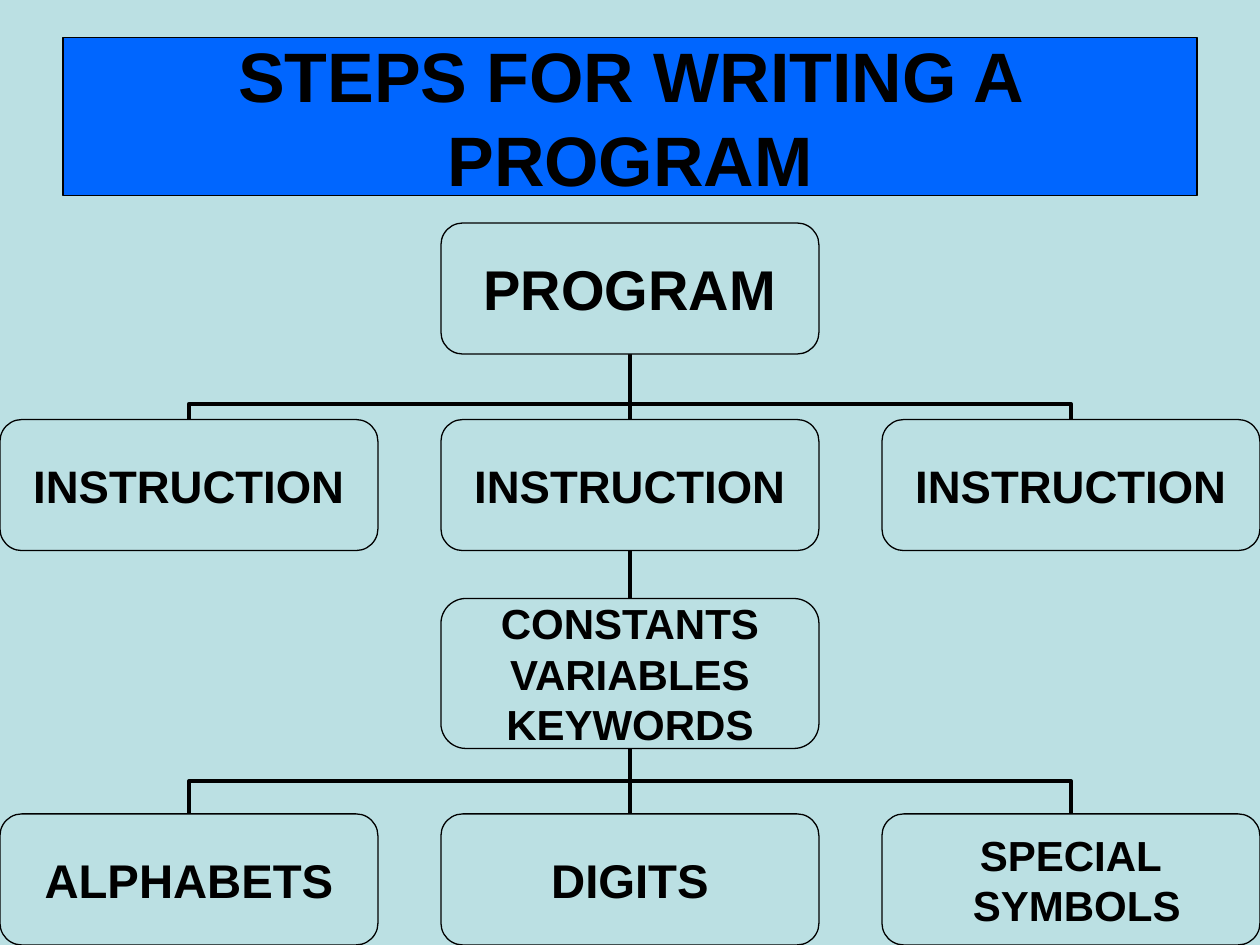
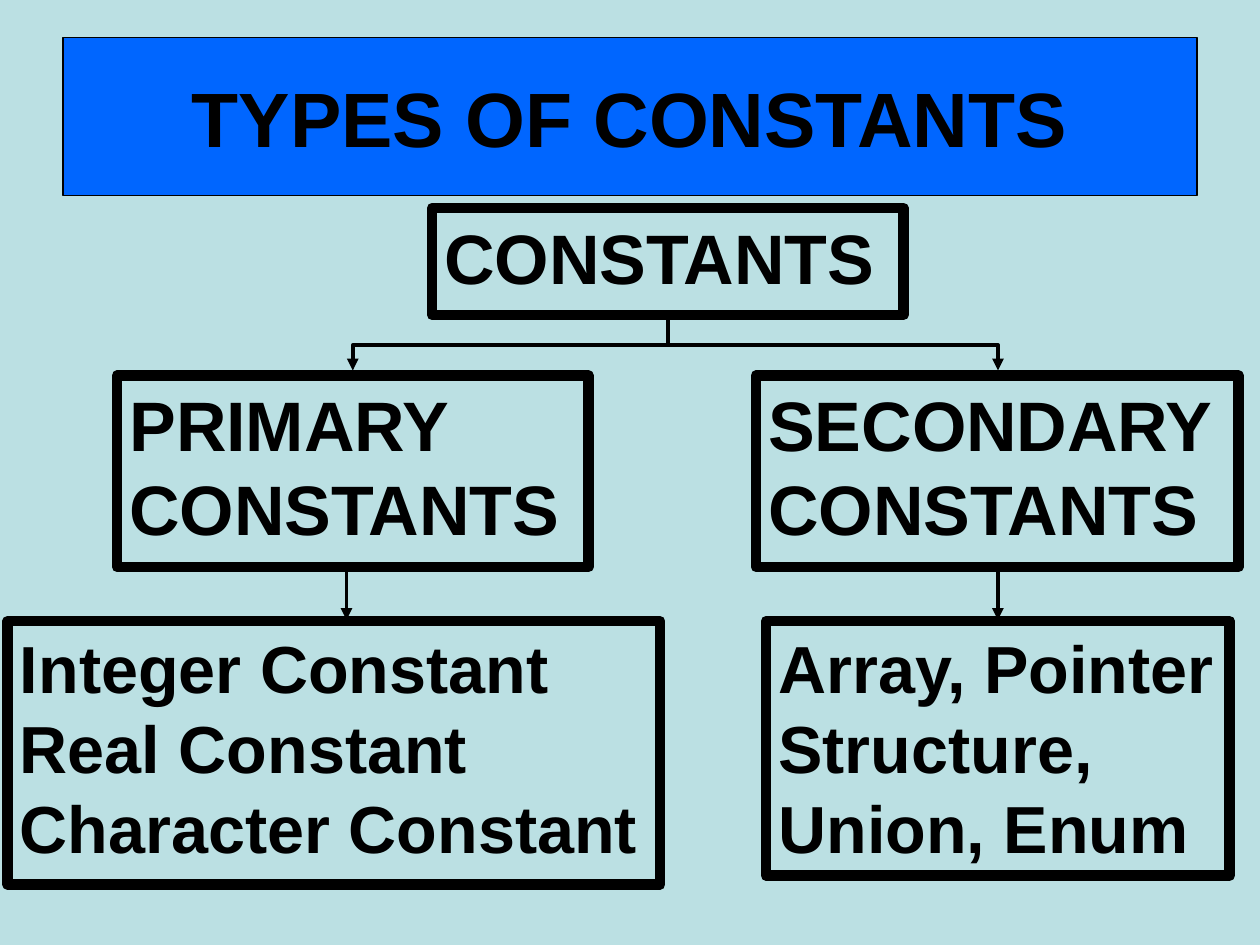
from lxml import etree
from pptx import Presentation
from pptx.dml.color import RGBColor
from pptx.enum.shapes import MSO_CONNECTOR, MSO_SHAPE
from pptx.enum.text import MSO_ANCHOR, MSO_AUTO_SIZE, PP_ALIGN
from pptx.oxml.ns import qn
from pptx.util import Inches, Pt

STRAIGHT, ELBOW = MSO_CONNECTOR.STRAIGHT, MSO_CONNECTOR.ELBOW
ROUNDED = MSO_SHAPE.ROUNDED_RECTANGLE
MIDDLE = MSO_ANCHOR.MIDDLE
CENTER, LEFT = PP_ALIGN.CENTER, PP_ALIGN.LEFT
NO_AUTOFIT, GROW = MSO_AUTO_SIZE.NONE, MSO_AUTO_SIZE.SHAPE_TO_FIT_TEXT

PALE_TEAL = RGBColor(0xBB, 0xE0, 0xE3)
BLUE = RGBColor(0x00, 0x66, 0xFF)
BLACK = RGBColor(0x00, 0x00, 0x00)
FONT = "Arial"

SLIDE_WIDTH, SLIDE_HEIGHT = 10, 7.5
TITLE_ONLY = 5
TITLE_AREA = (0.05 * SLIDE_WIDTH, 0.04 * SLIDE_HEIGHT, 0.9 * SLIDE_WIDTH, 1.25)

# Three columns of boxes across the full width of the program chart
COLUMN_STEP = 0.35 * SLIDE_WIDTH
BOX_WIDTH = 0.3 * SLIDE_WIDTH
BOX_HEIGHT = 1.04
PARTS_HEIGHT = 1.19
PROGRAM_ROW, INSTRUCTION_ROW, PARTS_ROW = 1.77, 3.33, 4.75
SYMBOL_ROW = SLIDE_HEIGHT - BOX_HEIGHT

# Rows of the constants chart
ROOT_ROW, KIND_ROW, EXAMPLE_ROW = 1.65, 2.98, 4.93


def column_center(column):
    return column * COLUMN_STEP + BOX_WIDTH / 2


def write_lines(frame, lines, size, align):
    frame.text = "\n".join(lines)
    for para in frame.paragraphs:
        para.alignment = align
        para.font.name = FONT
        para.font.size = Pt(size)
        para.font.bold = True
        para.font.color.rgb = BLACK


def outline(shape, width):
    shape.line.color.rgb = BLACK
    shape.line.width = Pt(width)


def add_titled_slide(deck, text, size):
    slide = deck.slides.add_slide(deck.slide_layouts[TITLE_ONLY])
    title = slide.shapes.title
    title.left, title.top, title.width, title.height = map(Inches, TITLE_AREA)
    title.fill.solid()
    title.fill.fore_color.rgb = BLUE
    outline(title, 0.75)
    title.text_frame.auto_size = NO_AUTOFIT
    title.text_frame.vertical_anchor = MIDDLE
    write_lines(title.text_frame, [text], size, CENTER)
    return slide


def add_rounded_box(slide, column, top, lines, size, height=BOX_HEIGHT):
    box = slide.shapes.add_shape(ROUNDED, Inches(column * COLUMN_STEP), Inches(top),
                                 Inches(BOX_WIDTH), Inches(height))
    box.shadow.inherit = False
    box.fill.solid()
    box.fill.fore_color.rgb = PALE_TEAL
    outline(box, 0.75)
    frame = box.text_frame
    frame.margin_left = frame.margin_right = frame.margin_top = frame.margin_bottom = 0
    frame.word_wrap = False
    frame.vertical_anchor = MIDDLE
    write_lines(frame, lines, size, CENTER)


def add_framed_box(slide, left, top, width, height, lines, size):
    box = slide.shapes.add_textbox(*map(Inches, (left, top, width, height)))
    outline(box, 6)
    box.text_frame.word_wrap = False
    box.text_frame.auto_size = GROW
    write_lines(box.text_frame, lines, size, LEFT)


def add_link(slide, start, end, bend=0.5, arrow=False):
    """Join two points downwards; the crossbar lies at the share bend of the drop."""
    (start_x, start_y), (end_x, end_y) = start, end
    if start_x == end_x:
        link = slide.shapes.add_connector(STRAIGHT, *map(Inches, (*start, *end)))
    else:
        # An elbow leaves sideways, so it is laid out lying down and then turned.
        center_x, center_y = (start_x + end_x) / 2, (start_y + end_y) / 2
        half_spread, half_drop = abs(end_x - start_x) / 2, (end_y - start_y) / 2
        to_right = end_x > start_x
        reach = -half_drop if to_right else half_drop
        link = slide.shapes.add_connector(
            ELBOW, Inches(center_x - reach), Inches(center_y - half_spread),
            Inches(center_x + reach), Inches(center_y + half_spread))
        properties = link.element.spPr
        turn = 270 if to_right else 90
        properties.find(qn("a:xfrm")).set("rot", str(turn * 60000))
        guides = properties.find(qn("a:prstGeom")).find(qn("a:avLst"))
        etree.SubElement(guides, qn("a:gd"), name="adj1", fmla=f"val {round(bend * 100000)}")
    outline(link, 2.25)
    properties = link.element.spPr
    if arrow:
        etree.SubElement(properties.find(qn("a:ln")), qn("a:tailEnd"), type="triangle")
    etree.SubElement(properties, qn("a:effectLst"))


def add_program_slide(deck):
    slide = add_titled_slide(deck, "STEPS FOR WRITING A PROGRAM", 40)
    middle = column_center(1)
    for top, bottom, bend in ((PROGRAM_ROW + BOX_HEIGHT, INSTRUCTION_ROW, 0.76),
                              (PARTS_ROW + PARTS_HEIGHT, SYMBOL_ROW, 0.5)):
        for column in range(3):
            add_link(slide, (middle, top), (column_center(column), bottom), bend)
    add_link(slide, (middle, INSTRUCTION_ROW + BOX_HEIGHT), (middle, PARTS_ROW))

    add_rounded_box(slide, 1, PROGRAM_ROW, ["PROGRAM"], 32)
    for column in range(3):
        add_rounded_box(slide, column, INSTRUCTION_ROW, ["INSTRUCTION"], 26)
    add_rounded_box(slide, 1, PARTS_ROW, ["CONSTANTS", "VARIABLES", "KEYWORDS"], 24,
                    PARTS_HEIGHT)
    symbols = ((["ALPHABETS"], 27), (["DIGITS"], 27), (["SPECIAL", " SYMBOLS"], 24))
    for column, (lines, size) in enumerate(symbols):
        add_rounded_box(slide, column, SYMBOL_ROW, lines, size)


def add_constants_slide(deck):
    slide = add_titled_slide(deck, "TYPES OF CONSTANTS", 44)
    add_framed_box(slide, 3.43, ROOT_ROW, 3.74, 0.85, ["CONSTANTS"], 40)
    add_framed_box(slide, 0.93, KIND_ROW, 3.74, 1.52, ["PRIMARY", "CONSTANTS"], 40)
    add_framed_box(slide, 0.06, EXAMPLE_ROW, 5.18, 2.09,
                   ["Integer Constant", "Real Constant", "Character Constant"], 38)
    add_framed_box(slide, 6, KIND_ROW, 3.83, 1.52, ["SECONDARY", "CONSTANTS"], 40)
    add_framed_box(slide, 6.08, EXAMPLE_ROW, 3.68, 2.02,
                   ["Array, Pointer", "Structure,", "Union, Enum"], 38)

    for kind_x, example_x in ((2.8, 2.75), (7.92, 7.92)):
        add_link(slide, (5.3, 2.54), (kind_x, 2.94), arrow=True)
        add_link(slide, (example_x, 4.5), (example_x, 4.92), arrow=True)


def main():
    deck = Presentation()
    deck.slide_width, deck.slide_height = Inches(SLIDE_WIDTH), Inches(SLIDE_HEIGHT)
    background = deck.slide_master.background.fill
    background.solid()
    background.fore_color.rgb = PALE_TEAL
    add_program_slide(deck)
    add_constants_slide(deck)
    deck.save("out.pptx")


if __name__ == "__main__":
    main()
